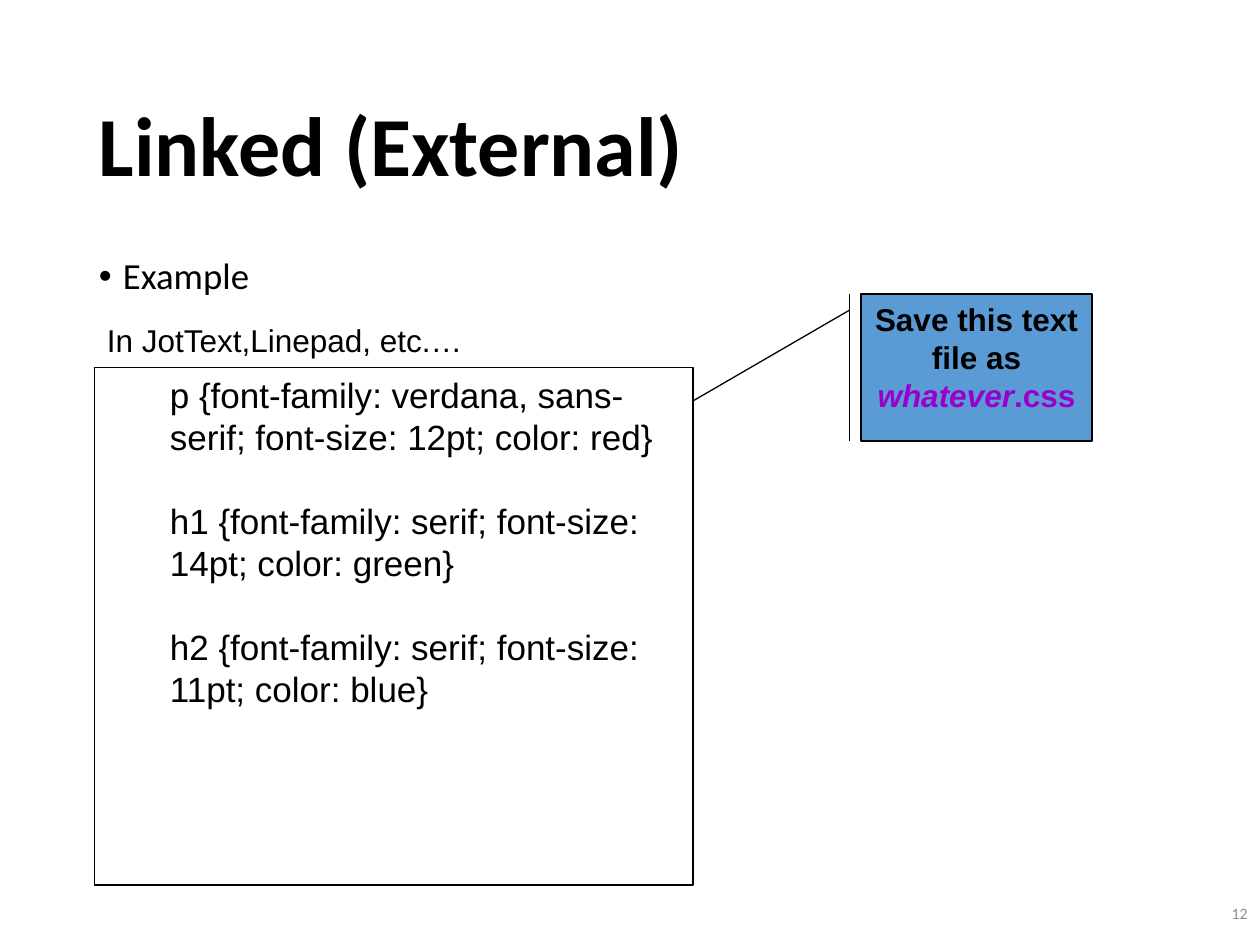
from lxml import etree
from pptx import Presentation, util as u
from pptx.dml.color import RGBColor
from pptx.enum import shapes, text
from pptx.oxml.ns import qn

BLACK = RGBColor(0, 0, 0)
GRAY = RGBColor(0x8C, 0x8C, 0x8C)
BLUE = RGBColor(0x5B, 0x9B, 0xD5)
PURPLE = RGBColor(0x99, 0x00, 0xCC)
COLUMNS, ROWS = 120, 90


def add_run(paragraph, content, size=18, font="Arial", color=BLACK, bold=False, italic=False):
    run = paragraph.add_run()
    run.text = content
    run.font.size = u.Pt(size)
    run.font.name = font
    run.font.color.rgb = color
    run.font.bold = bold
    run.font.italic = italic


class SlideBuilder:
    def __init__(self, presentation):
        self.slide = presentation.slides.add_slide(presentation.slide_layouts[6])
        self.cell_width = presentation.slide_width / COLUMNS
        self.cell_height = presentation.slide_height / ROWS

    def place(self, column, row, width, height):
        return (
            round(column * self.cell_width),
            round(row * self.cell_height),
            round(width * self.cell_width),
            round(height * self.cell_height),
        )

    def frame(self, shape, anchor=text.MSO_ANCHOR.TOP):
        shape.text_frame.word_wrap = True
        shape.text_frame.vertical_anchor = anchor
        return shape.text_frame

    def label(self, area, content, anchor=text.MSO_ANCHOR.TOP, align=text.PP_ALIGN.LEFT,
              line_spacing=1.0, bullet=False, **style):
        shape = self.slide.shapes.add_textbox(*self.place(*area))
        paragraph = self.frame(shape, anchor).paragraphs[0]
        paragraph.alignment = align
        paragraph.line_spacing = line_spacing
        if bullet:
            self.bullet(paragraph)
        add_run(paragraph, content, **style)

    def bullet(self, paragraph):
        properties = paragraph._p.get_or_add_pPr()
        indent = u.Inches(0.19)
        properties.set("marL", str(indent))
        properties.set("indent", str(-indent))
        etree.SubElement(properties, qn("a:buFont"), typeface="Arial")
        etree.SubElement(properties, qn("a:buChar"), char="•")

    def box(self, kind, area, fill=None):
        shape = self.slide.shapes.add_shape(kind, *self.place(*area))
        shape.shadow.inherit = False
        if fill is None:
            shape.fill.background()
        else:
            shape.fill.solid()
            shape.fill.fore_color.rgb = fill
        shape.line.color.rgb = BLACK
        shape.line.width = u.Pt(0.75)
        return shape

    def code(self, area, rules, size):
        shape = self.box(shapes.MSO_SHAPE.RECTANGLE, area)
        frame = self.frame(shape)
        for index, rule in enumerate(rules):
            paragraph = frame.paragraphs[0] if index == 0 else frame.add_paragraph()
            paragraph.alignment = text.PP_ALIGN.LEFT
            paragraph._p.get_or_add_pPr().set("marL", str(u.Inches(0.5)))
            if index:
                paragraph.space_before = u.Pt(size * 1.2)
            add_run(paragraph, rule, size=size)

    def callout(self, area, pointer, parts):
        kind = shapes.MSO_SHAPE.LINE_CALLOUT_1_BORDER_AND_ACCENT_BAR
        shape = self.box(kind, area, BLUE)
        for index, value in enumerate(pointer):
            shape.adjustments[index] = value
        paragraph = self.frame(shape).paragraphs[0]
        paragraph.alignment = text.PP_ALIGN.CENTER
        for content, style in parts:
            add_run(paragraph, content, bold=True, **style)


def main():
    presentation = Presentation()
    presentation.slide_width = u.Inches(10)
    presentation.slide_height = u.Inches(7.5)
    builder = SlideBuilder(presentation)
    middle = text.MSO_ANCHOR.MIDDLE

    builder.label((8.25, 5.5, 103.5, 17.4), "Linked (External)", anchor=middle,
                  line_spacing=0.9, size=48, font="Calibri", bold=True)
    builder.label((8.25, 24, 103.5, 5), "Example", line_spacing=0.9, bullet=True,
                  size=21, font="Calibri")
    builder.label((103, 84, 17, 6), "12", anchor=middle, align=text.PP_ALIGN.RIGHT,
                  size=9, font="Calibri", color=GRAY)
    builder.code((9, 35, 57, 49.3), [
        "p {font-family: verdana, sans-serif; font-size: 12pt; color: red}",
        "h1 {font-family: serif; font-size: 14pt; color: green}",
        "h2 {font-family: serif; font-size: 11pt; color: blue}",
    ], size=20)
    builder.callout((82, 28, 22, 14), (0.11, -0.05, 0.73, -0.73), [
        ("Save this text file as ", {}),
        ("whatever", {"color": PURPLE, "italic": True}),
        (".css", {"color": PURPLE}),
    ])
    builder.label((9, 30, 45, 4.8), "In JotText,Linepad, etc.…")
    presentation.save("out.pptx")


if __name__ == "__main__":
    main()
